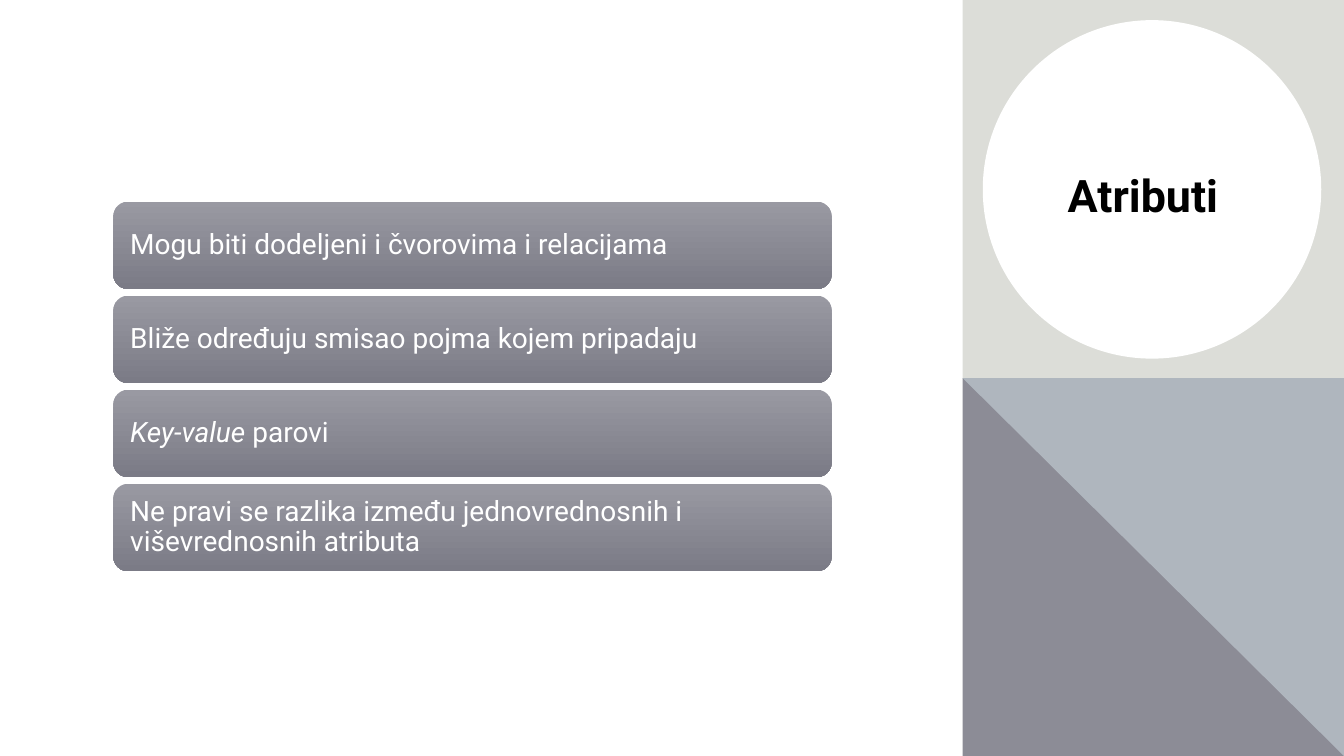
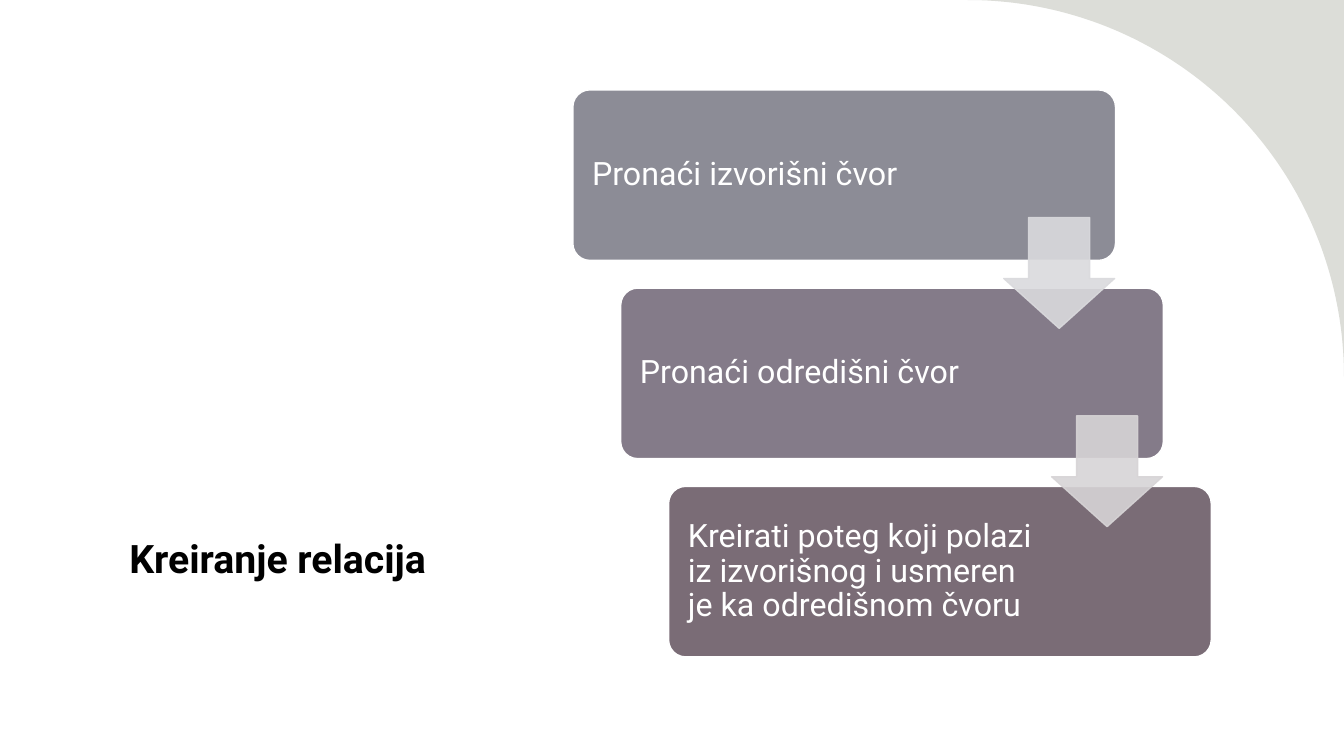
import math
from dataclasses import dataclass

from lxml import etree
from pptx import Presentation
from pptx import util as u
from pptx.dml.color import RGBColor
from pptx.enum import shapes, text
from pptx.oxml.ns import qn

COLS, ROWS = 160, 90
CELL = u.Inches(1 / 12)


@dataclass(frozen=True)
class Theme:
    font: str = "Roboto"
    white: str = "FFFFFF"
    ink: str = "000000"
    stone: str = "DCDDD8"
    slate: str = "8C8C96"
    mist: str = "AFB6BE"
    card_gradient: tuple = ("9999A2", "7B7B86")
    steps: tuple = ("8C8C96", "847B89", "7A6C76")
    arrows: tuple = ("DADADD", "D7D4D6")
    title_large: int = 32
    title_small: int = 28
    card_size: int = 20
    step_size: int = 23


def grid(*cells):
    return [u.Emu(round(c * CELL)) for c in cells]


def rgb(value):
    return RGBColor.from_string(value)


def set_alpha(sp, share):
    """Make the solid fill and the line of a shape partly transparent."""
    for solid in sp._element.spPr.iter(qn("a:solidFill")):
        etree.SubElement(solid[0], qn("a:alpha")).set("val", str(round(share * 100000)))


class Deck:
    """Holds the theme and the current slide; lengths are grid cells."""

    def __init__(self, theme):
        self.theme = theme
        self.prs = Presentation()
        self.prs.slide_width, self.prs.slide_height = grid(COLS, ROWS)
        self.s = None

    def new_slide(self):
        self.s = self.prs.slides.add_slide(self.prs.slide_layouts[5])

    def paint(self, sp, fill, line=None, alpha=None):
        """Fill with one colour, or top to bottom with a pair of colours."""
        sp.shadow.inherit = False
        if isinstance(fill, tuple):
            sp.fill.gradient()
            sp.fill.gradient_angle = 270
            for stop, color in zip(sp.fill.gradient_stops, fill):
                stop.color.rgb = rgb(color)
        else:
            sp.fill.solid()
            sp.fill.fore_color.rgb = rgb(fill)
        if line:
            sp.line.color.rgb = rgb(line)
            sp.line.width = u.Pt(1)
        else:
            sp.line.fill.background()
        if alpha:
            set_alpha(sp, alpha)

    def shape(self, kind, box, fill, line=None, alpha=None, adj=()):
        sp = self.s.shapes.add_shape(kind, *grid(*box))
        for i, value in enumerate(adj):
            sp.adjustments[i] = value
        self.paint(sp, fill, line, alpha)
        return sp

    def outline(self, points, fill):
        start, *rest = [grid(*point) for point in points]
        builder = self.s.shapes.build_freeform(*start)
        builder.add_line_segments(rest)
        self.paint(builder.convert_to_shape(), fill)

    def set_text(self, sp, runs, size, color, anchor, spacing, bold=False):
        """Set one left-aligned paragraph of (text, italic) runs."""
        tf = sp.text_frame
        tf.word_wrap = True
        tf.auto_size = text.MSO_AUTO_SIZE.NONE
        tf.vertical_anchor = anchor
        p = tf.paragraphs[0]
        p.alignment = text.PP_ALIGN.LEFT
        p.line_spacing = spacing
        for words, italic in runs:
            r = p.add_run()
            r.text = words
            r.font.name, r.font.size = self.theme.font, u.Pt(size)
            r.font.bold, r.font.italic = bold, italic
            r.font.color.rgb = rgb(color)

    def title(self, words, box, size):
        """Place the title in front of everything drawn so far."""
        sp = self.s.shapes.title
        sp.left, sp.top, sp.width, sp.height = grid(*box)
        self.s.shapes._spTree.append(sp._element)
        self.set_text(sp, [(words, False)], size, self.theme.ink,
                      text.MSO_ANCHOR.BOTTOM, 1.1, bold=True)

    def card(self, box, runs, fill, size, insets, line=None, adj=()):
        sp = self.shape(shapes.MSO_SHAPE.ROUNDED_RECTANGLE, box, fill, line, adj=adj)
        tf = sp.text_frame
        tf.margin_left, tf.margin_right = grid(*insets)
        self.set_text(sp, runs, size, self.theme.white, text.MSO_ANCHOR.MIDDLE, 0.9)


def attributes_slide(deck):
    t = deck.theme
    deck.new_slide()
    panel, middle = 114.6, ROWS / 2
    rect = shapes.MSO_SHAPE.RECTANGLE
    deck.shape(rect, (panel, middle, COLS - panel, middle), t.slate)
    deck.shape(rect, (panel, 0, COLS - panel, middle), t.stone)
    deck.shape(shapes.MSO_SHAPE.OVAL, (117, 2.4, 40.3, 40.3), t.white)
    deck.outline([(panel, middle), (COLS, middle), (COLS, ROWS)], t.mist)

    cards = [
        [("Mogu biti dodeljeni i čvorovima i relacijama", False)],
        [("Bliže određuju smisao pojma kojem pripadaju", False)],
        [("Key-value", True), (" parovi", False)],
        [("Ne pravi se razlika između jednovrednosnih i viševrednosnih atributa", False)],
    ]
    for i, runs in enumerate(cards):
        deck.card((13.5, 24 + 11.2 * i, 85.5, 10.4), runs,
                  t.card_gradient, t.card_size, (1.5, 1.5))
    deck.title("Atributi", (125.9, 10.2, 26.6, 16.8), t.title_large)


def relations_slide(deck):
    t = deck.theme
    deck.new_slide()
    radius = 44.8
    arc = [(COLS - radius + radius * math.sin(a), radius - radius * math.cos(a))
           for a in (math.radians(d) for d in range(91))]
    deck.outline([(COLS, 0)] + arc, t.stone)
    deck.title("Kreiranje relacija", (14.2, 21, 42.8, 48.8), t.title_small)

    steps = [
        "Pronaći izvorišni čvor",
        "Pronaći odredišni čvor",
        "Kreirati poteg koji polazi iz izvorišnog i usmeren je ka odredišnom čvoru",
    ]
    corners = [(68.2 + 5.7 * i, 10.7 + 23.6 * i) for i in range(len(steps))]
    for (left, top), words, color in zip(corners, steps, t.steps):
        deck.card((left, top, 64.6, 20.3), [(words, False)], color,
                  t.step_size, (1.7, 20.6), line=t.white, adj=(0.1,))
    for (left, top), color in zip(corners, t.arrows):
        deck.shape(shapes.MSO_SHAPE.DOWN_ARROW, (left + 51.3, top + 15.2, 13.2, 13.2),
                   color, line=color, alpha=0.9, adj=(0.55, 0.45))


def main():
    deck = Deck(Theme())
    attributes_slide(deck)
    relations_slide(deck)
    deck.prs.save("out.pptx")


if __name__ == "__main__":
    main()
